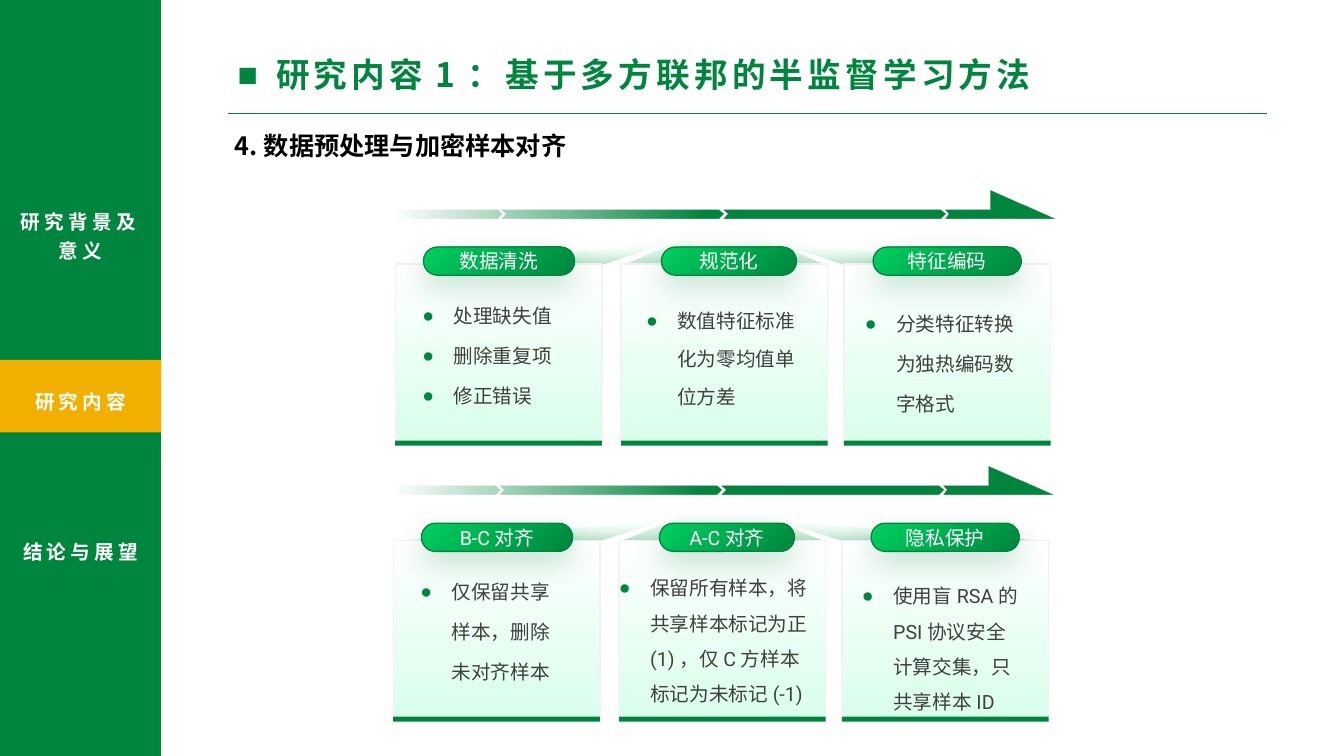
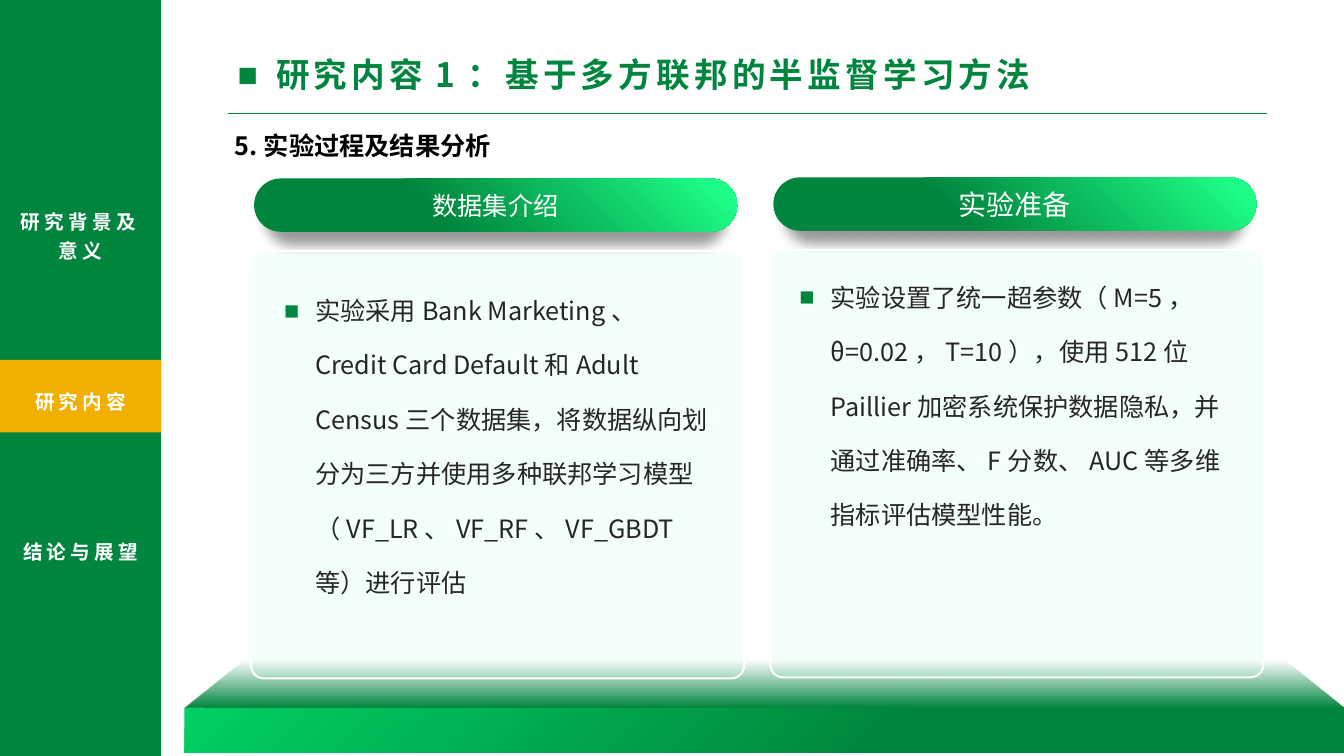
from dataclasses import dataclass

from lxml.etree import SubElement
from pptx import Presentation
from pptx.dml.color import RGBColor
from pptx.enum.shapes import MSO_CONNECTOR, MSO_SHAPE
from pptx.enum.text import MSO_ANCHOR, PP_ALIGN
from pptx.oxml.ns import qn
from pptx.util import Pt

PX = 9144


@dataclass(frozen=True)
class Theme:
    """Colours, fonts and type sizes of the deck."""

    green: str = "00853E"
    bright: str = "00D061"
    mint: str = "68FFAE"
    neon: str = "1DFF86"
    pale: str = "D9FFEB"
    panel: str = "B4FFD7"
    edge: str = "F2F2F2"
    amber: str = "F1B000"
    white: str = "FFFFFF"
    black: str = "000000"
    grey: str = "404040"
    ink: str = "262626"
    heading: str = "Noto Sans CJK SC"
    body: str = "Roboto"
    title_size: int = 24
    large: int = 20
    medium: int = 18
    small: int = 14


THEME = Theme()


@dataclass(frozen=True)
class Card:
    """A step: its label, its points and the text box relative to the card."""

    label: str
    points: tuple
    text_box: tuple
    leading: float


TITLE = "研究内容1：基于多方联邦的半监督学习方法"
SECTIONS = (
    ("研究背景及意义", (0, 199, 160, 66)),
    ("研究内容", (0, 377, 160, 38)),
    ("结论与展望", (0, 526, 160, 38)),
)
CARD_COLUMNS = ((0, 28, 150), (224, 40, 134), (445, 29, 147))
CLEANING = (
    Card("数据清洗", ("处理缺失值", "删除重复项", "修正错误"), (17, 18, 162, 130), 1.7),
    Card("规范化", ("数值特征标准化为零均值单位方差",), (15, 26, 175, 123), 1.6),
    Card("特征编码", ("分类特征转换为独热编码数字格式",), (11, 26, 179, 130), 1.7),
)
ALIGNMENT = (
    Card("B-C对齐", ("仅保留共享样本，删除未对齐样本",), (17, 18, 162, 130), 1.7),
    Card("A-C对齐", ("保留所有样本，将共享样本标记为正(1)，仅C方样本标记为未标记(-1)",),
         (-10, 19, 207, 151), 1.5),
    Card("隐私保护", ("使用盲RSA的PSI协议安全计算交集，只共享样本ID",), (10, 27, 179, 151), 1.5),
)
DATASETS = (
    "实验采用Bank Marketing、Credit Card Default和Adult Census三个数据集，"
    "将数据纵向划分为三方并使用多种联邦学习模型（VF_LR、VF_RF、VF_GBDT等）进行评估"
)
SETUP = (
    "实验设置了统一超参数（M=5，θ=0.02，T=10），使用512位Paillier加密系统保护数据隐私，"
    "并通过准确率、F分数、AUC等多维指标评估模型性能。"
)


def add_color(parent, color, alpha=100):
    """Append a colour with its opacity in percent."""
    tint = SubElement(parent, qn("a:srgbClr"), val=color)
    if alpha < 100:
        SubElement(tint, qn("a:alpha"), val=str(alpha * 1000))


def paint_gradient(shape, stops, angle=None):
    """Fill with (position, colour, opacity) stops, linear or from the top right corner."""
    shape.fill.gradient()
    gradient = shape.element.spPr.find(qn("a:gradFill"))
    for child in list(gradient):
        gradient.remove(child)
    stop_list = SubElement(gradient, qn("a:gsLst"))
    for position, color, alpha in stops:
        add_color(SubElement(stop_list, qn("a:gs"), pos=str(position * 1000)), color, alpha)
    if angle is None:
        radial = SubElement(gradient, qn("a:path"), path="circle")
        SubElement(radial, qn("a:fillToRect"), l="100000", b="100000")
    else:
        SubElement(gradient, qn("a:lin"), ang=str(angle * 60000), scaled="0")


def finish(shape, fill=None, line=None, width=0.91):
    """Drop the default shadow and set a solid fill and the outline."""
    shape.shadow.inherit = False
    if fill:
        shape.fill.solid()
        shape.fill.fore_color.rgb = RGBColor.from_string(fill)
    if line:
        shape.line.color.rgb = RGBColor.from_string(line)
        shape.line.width = Pt(width)
    else:
        shape.line.fill.background()
    return shape


def add_part(slide, kind, box, fill=None, line=None, width=0.91, adjust=None):
    """Add a preset shape in a px box."""
    part = slide.shapes.add_shape(kind, *(side * PX for side in box))
    if adjust is not None:
        part.adjustments[0] = adjust
    return finish(part, fill, line, width)


def add_outline(slide, origin, contours):
    """Add a freeform of closed contours relative to a px origin."""
    builder = slide.shapes.build_freeform(*contours[0][0], scale=PX)
    for index, contour in enumerate(contours):
        if index:
            builder.move_to(*contour[0])
        builder.add_line_segments(contour[1:], close=True)
    return finish(builder.convert_to_shape(*origin))


def cast_shadow(shape, color, alpha, blur, distance, scale=100):
    """Add a soft shadow falling straight down."""
    shadow = SubElement(
        shape.element.spPr.find(qn("a:effectLst")), qn("a:outerShdw"),
        blurRad=str(Pt(blur)), dist=str(Pt(distance)), dir="5400000",
        sx=str(scale * 1000), algn="ctr", rotWithShape="0")
    add_color(shadow, color, alpha)


def write(frame, texts, size, color, font=THEME.heading, bold=False, align=PP_ALIGN.LEFT,
          leading=None, bullet=None, indent=31, tracking=0):
    """Write paragraphs of one style."""
    frame.word_wrap = True
    for index, text in enumerate(texts):
        paragraph = frame.add_paragraph() if index else frame.paragraphs[0]
        paragraph.text = text
        paragraph.alignment = align
        if leading:
            paragraph.line_spacing = leading
        if bullet:
            props = paragraph._p.get_or_add_pPr()
            props.set("marL", str(indent * PX))
            props.set("indent", str(-indent * PX))
            add_color(SubElement(props, qn("a:buClr")), THEME.green)
            SubElement(props, qn("a:buFont"), typeface="Arial")
            SubElement(props, qn("a:buChar"), char=bullet)
        paragraph.font.size = Pt(size)
        paragraph.font.bold = bold
        paragraph.font.color.rgb = RGBColor.from_string(color)
        paragraph.font.name = font
        defaults = paragraph._p.pPr.find(qn("a:defRPr"))
        SubElement(defaults, qn("a:ea"), typeface=font)
        if tracking:
            defaults.set("spc", str(tracking * 100))


def add_text(slide, box, texts, size, color, **style):
    """Add a text box in a px box."""
    write(slide.shapes.add_textbox(*(side * PX for side in box)).text_frame,
          texts, size, color, **style)


def add_pill(slide, box, label, size, line=None):
    """Add a rounded label with centred white text."""
    pill = add_part(slide, MSO_SHAPE.ROUNDED_RECTANGLE, box, line=line, adjust=0.5)
    frame = pill.text_frame
    frame.margin_left = frame.margin_right = frame.margin_top = frame.margin_bottom = 0
    frame.vertical_anchor = MSO_ANCHOR.MIDDLE
    write(frame, [label], size, THEME.white, font=THEME.body, align=PP_ALIGN.CENTER)
    return pill


def add_sidebar(slide, box):
    """Draw the section list with the current section highlighted."""
    left, top, width, height = box
    add_part(slide, MSO_SHAPE.RECTANGLE, box, THEME.green)
    add_part(slide, MSO_SHAPE.RECTANGLE, (left, top + 357, width, 72), THEME.amber)
    for name, (x, y, w, h) in SECTIONS:
        add_text(slide, (left + x, top + y, w, h), [name], THEME.small, THEME.white, bold=True,
                 align=PP_ALIGN.CENTER, leading=1.2, tracking=3)


def add_frame(deck, subtitle):
    """Add a slide with the sidebar, title, rule and subtitle."""
    slide = deck.slides.add_slide(deck.slide_layouts[6])
    add_sidebar(slide, (0, 0, 160, 750))
    add_text(slide, (226, 49, 857, 50), [TITLE], THEME.title_size, THEME.green, bold=True,
             bullet="■", indent=38, tracking=3)
    rule = slide.shapes.add_connector(
        MSO_CONNECTOR.STRAIGHT, 226 * PX, 112 * PX, 1257 * PX, 112 * PX)
    rule.line.color.rgb = RGBColor.from_string(THEME.green)
    rule.line.width = Pt(0.5)
    SubElement(rule.element.spPr, qn("a:effectLst"))
    add_text(slide, (223, 124, 536, 40), [subtitle], THEME.medium, THEME.black, bold=True)
    return slide


def add_progress_arrow(slide, origin):
    """Draw the segmented arrow above a row of cards."""
    tail = [(0, 19), (102, 19), (106, 23), (102, 28), (0, 28)]
    links = [[(x, 19), (x + 216, 19), (x + 221, 23), (x + 216, 28), (x, 28), (x + 5, 23)]
             for x in (105, 325)]
    head = [(545, 19), (590, 19), (590, 0), (655, 28), (545, 28), (549, 23)]
    arrow = add_outline(slide, origin, [tail, *links, head])
    paint_gradient(arrow, [(0, THEME.green, 0), (47, THEME.green, 100),
                           (100, THEME.green, 100)], 0)


def add_card(slide, left, top, card, pill_left, pill_width):
    """Draw one step card with its label and points."""
    panel = add_part(slide, MSO_SHAPE.RECTANGLE, (left, top, 205, 179), line=THEME.edge)
    paint_gradient(panel, [(0, THEME.pale, 100), (100, THEME.white, 100)], 270)
    add_part(slide, MSO_SHAPE.RECTANGLE, (left, top + 175, 205, 5), THEME.green)
    x, y, width, height = card.text_box
    add_text(slide, (left + x, top + y, width, height), card.points, THEME.small, THEME.grey,
             font=THEME.body, leading=card.leading, bullet="●")
    pill = add_pill(slide, (left + pill_left, top - 17, pill_width, 28), card.label,
                    THEME.small, THEME.green)
    paint_gradient(pill, [(0, THEME.bright, 100), (100, THEME.green, 100)], 45)
    cast_shadow(pill, THEME.green, 22, 22.7, 8.2)


def add_process(slide, left, top, cards):
    """Draw an arrow, the folds behind the cards and the cards."""
    origin = (left * PX, top * PX)
    folds = [add_outline(slide, origin, [corners]) for corners in (
        [(651, 73), (384, 54), (446, 73)], [(0, 73), (265, 54), (204, 73)])]
    folds.append(add_part(slide, MSO_SHAPE.TRAPEZOID, (left + 225, top + 48, 203, 25),
                          adjust=2.54))
    for fold in folds:
        paint_gradient(fold, [(0, THEME.mint, 0), (100, THEME.green, 30)], 90)
    add_progress_arrow(slide, origin)
    for card, (x, pill_left, pill_width) in zip(cards, CARD_COLUMNS):
        add_card(slide, left + x, top + 73, card, pill_left, pill_width)


def add_platform(slide, left, top, width):
    """Draw the stage under the panels."""
    front = add_part(slide, MSO_SHAPE.RECTANGLE, (left, top + 64, width, 45))
    paint_gradient(front, [(0, THEME.bright, 100), (62, THEME.green, 100)], 45)
    surface = add_part(slide, MSO_SHAPE.TRAPEZOID, (left, top, width, 64), adjust=1.27)
    paint_gradient(surface, [(27, THEME.green, 0), (100, THEME.green, 100)], 90)


def add_panel(slide, left, top, heading, size, text, text_box):
    """Draw a headed translucent panel with one bulleted paragraph."""
    pill = add_pill(slide, (left + 3, top, 479, 53), heading, size)
    paint_gradient(pill, [(4, THEME.neon, 100), (63, THEME.green, 100)])
    cast_shadow(pill, THEME.black, 40, 9, 9, 95)
    panel = add_part(slide, MSO_SHAPE.ROUNDED_RECTANGLE, (left, top + 72, 489, 424),
                     THEME.panel, THEME.white, 1.5, 0.03)
    tint = panel.element.spPr.find(qn("a:solidFill")).find(qn("a:srgbClr"))
    SubElement(tint, qn("a:alpha"), val="15000")
    x, y, width, height = text_box
    add_text(slide, (left + x, top + y, width, height), [text], THEME.medium, THEME.ink,
             leading=1.8, bullet="■")


def main():
    """Build and save the deck."""
    deck = Presentation()
    deck.slide_width, deck.slide_height = 1333 * PX, 750 * PX
    preprocessing = add_frame(deck, "4.数据预处理与加密样本对齐")
    add_process(preprocessing, 392, 189, CLEANING)
    add_process(preprocessing, 390, 463, ALIGNMENT)
    experiment = add_frame(deck, "5.实验过程及结果分析")
    add_platform(experiment, 183, 638, 1150)
    add_panel(experiment, 249, 177, "数据集介绍", THEME.medium, DATASETS, (23, 87, 444, 369))
    add_panel(experiment, 764, 176, "实验准备", THEME.large, SETUP, (19, 75, 448, 352))
    deck.save("out.pptx")


if __name__ == "__main__":
    main()
